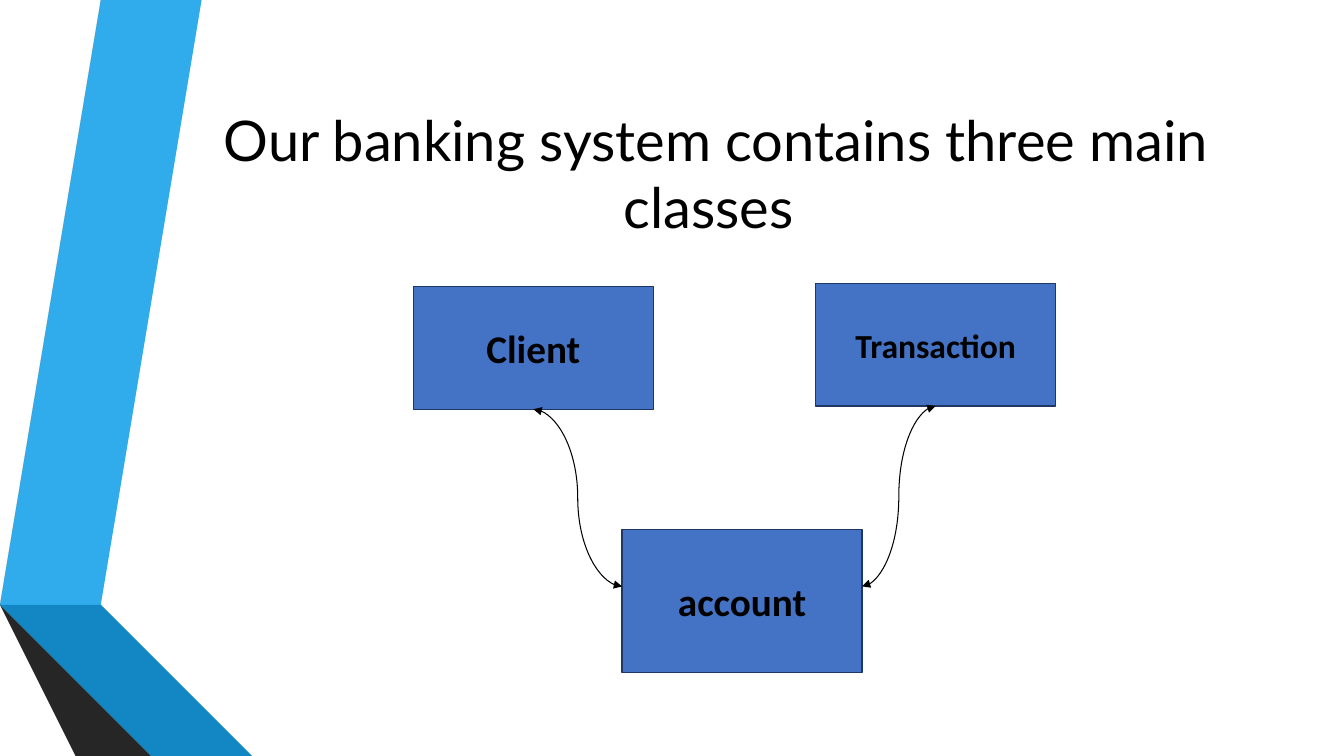
from dataclasses import dataclass

from lxml import etree
from pptx import Presentation
from pptx.dml.color import RGBColor
from pptx.enum.shapes import MSO_CONNECTOR, MSO_SHAPE
from pptx.enum.text import MSO_ANCHOR, PP_ALIGN
from pptx.oxml.ns import qn
from pptx.util import Inches, Pt

CURVE = MSO_CONNECTOR.CURVE
RECT = MSO_SHAPE.RECTANGLE
MIDDLE = MSO_ANCHOR.MIDDLE
CENTER = PP_ALIGN.CENTER


@dataclass(frozen=True)
class Theme:
    title_font: str = "Lato"
    class_font: str = "Calibri"
    title_size: int = 40
    class_size: int = 28
    small_size: int = 24
    text: str = "000000"
    class_fill: str = "4472C4"
    class_line: str = "1F3763"
    blue: str = "30ACEC"
    blue_mid: str = "1287C3"
    blue_dark: str = "0C5A82"
    gray: str = "595959"
    gray_mid: str = "404040"
    gray_dark: str = "262626"


T = Theme()


def rgb(value):
    return RGBColor.from_string(value)


def write(shape, text, font, size, bold=False):
    """Fill a shape with one centred paragraph."""
    tf = shape.text_frame
    tf.word_wrap = True
    tf.vertical_anchor = MIDDLE
    p = tf.paragraphs[0]
    p.alignment = CENTER
    r = p.add_run()
    r.text = text
    for name, value in {"name": font, "size": Pt(size), "bold": bold}.items():
        setattr(r.font, name, value)
    r.font.color.rgb = rgb(T.text)


def add_ribbons(s, left, top):
    """Two folded ribbons down the left edge."""
    facets = [
        # Upper bands
        (T.blue, [(0.5, 5.78), (0.77, 5.83), (1.73, 0), (1.45, 0)]),
        (T.gray, [(1.39, 0), (1.11, 0), (0.16, 5.73), (0.44, 5.77)]),
        # Shaded edges
        (T.gray_dark, [(0.16, 5.73), (1.45, 7.5), (1.51, 7.5)]),
        (T.blue_dark, [(0.5, 5.79), (2.08, 7.5), (2.14, 7.5)]),
        # Lower bands
        (T.blue_mid, [(0.5, 5.78), (2.14, 7.5), (2.83, 7.5), (0.77, 5.83)]),
        (T.gray_mid, [(0.16, 5.73), (1.51, 7.5), (2.02, 7.5), (0.48, 5.83),
                      (0.44, 5.77)]),
    ]
    for color, (start, *rest) in facets:
        builder = s.shapes.build_freeform(*start, scale=Inches(1))
        builder.add_line_segments(rest, close=True)
        sp = builder.convert_to_shape(Inches(left), Inches(top))
        sp.shadow.inherit = False
        sp.fill.solid()
        sp.fill.fore_color.rgb = rgb(color)
        sp.line.fill.background()


def add_title(s, left, top, width, height):
    sp = s.shapes.add_textbox(*map(Inches, (left, top, width, height)))
    # The trailing space sets the centring of the last line
    write(sp, "Our banking system contains three main classes ",
          T.title_font, T.title_size)


def add_class(s, text, size, left, top, width, height):
    sp = s.shapes.add_shape(RECT, *map(Inches, (left, top, width, height)))
    sp.shadow.inherit = False
    sp.fill.solid()
    sp.fill.fore_color.rgb = rgb(T.class_fill)
    sp.line.color.rgb = rgb(T.class_line)
    sp.line.width = Pt(1)
    write(sp, text, T.class_font, size, bold=True)


def add_link(s, start, end):
    """Curved line with an arrowhead at both ends."""
    c = s.shapes.add_connector(CURVE, *map(Inches, (*start, *end)))
    c.line.color.rgb = rgb(T.text)
    c.line.width = Pt(0.75)
    ln = c.line._get_or_add_ln()
    for tag in ("a:headEnd", "a:tailEnd"):
        etree.SubElement(ln, qn(tag), type="triangle")
    etree.SubElement(c._element.spPr, qn("a:effectLst"))


def add_diagram(s, left, top):
    """Client and transaction, each linked to the account below."""
    w, h, account_h = 2.38, 1.22, 1.42
    client = (left, top + 0.03)
    transaction = (left + 3.99, top)
    account = (left + 2.07, top + 2.44)

    # Classes
    add_class(s, "Client", T.class_size, *client, w, h)
    add_class(s, "Transaction", T.small_size, *transaction, w, h)
    add_class(s, "account", T.class_size, *account, w, account_h)

    # Links from bottom centres to the sides of the account
    link_y = account[1] + 0.4 * account_h
    add_link(s, (client[0] + w / 2, client[1] + h), (account[0], link_y))
    add_link(s, (account[0] + w, link_y),
             (transaction[0] + w / 2, transaction[1] + h))


prs = Presentation()
prs.slide_width, prs.slide_height = Inches(13.33), Inches(7.5)
s = prs.slides.add_slide(prs.slide_layouts[6])
add_ribbons(s, 0, 0)
add_title(s, 1.62, 0.75, 10.96, 1.92)
add_diagram(s, 4.1, 2.81)
prs.save("out.pptx")
